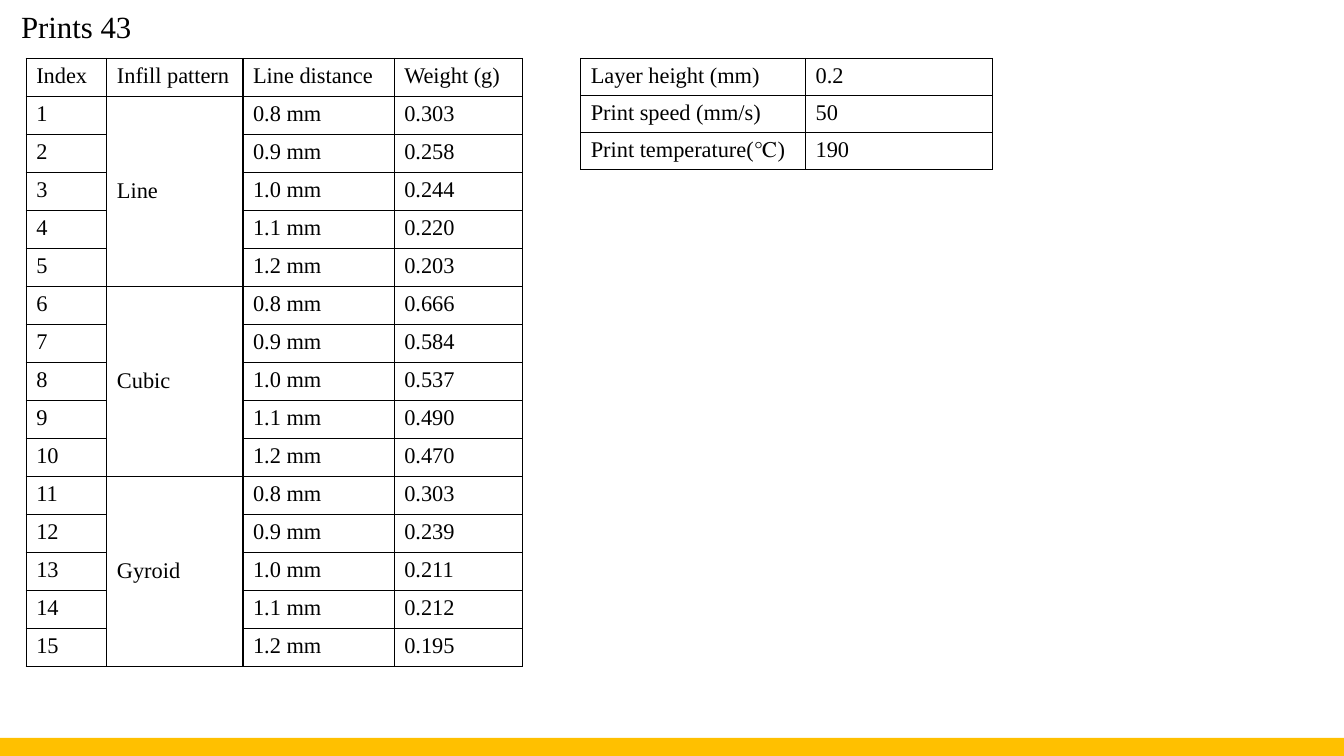
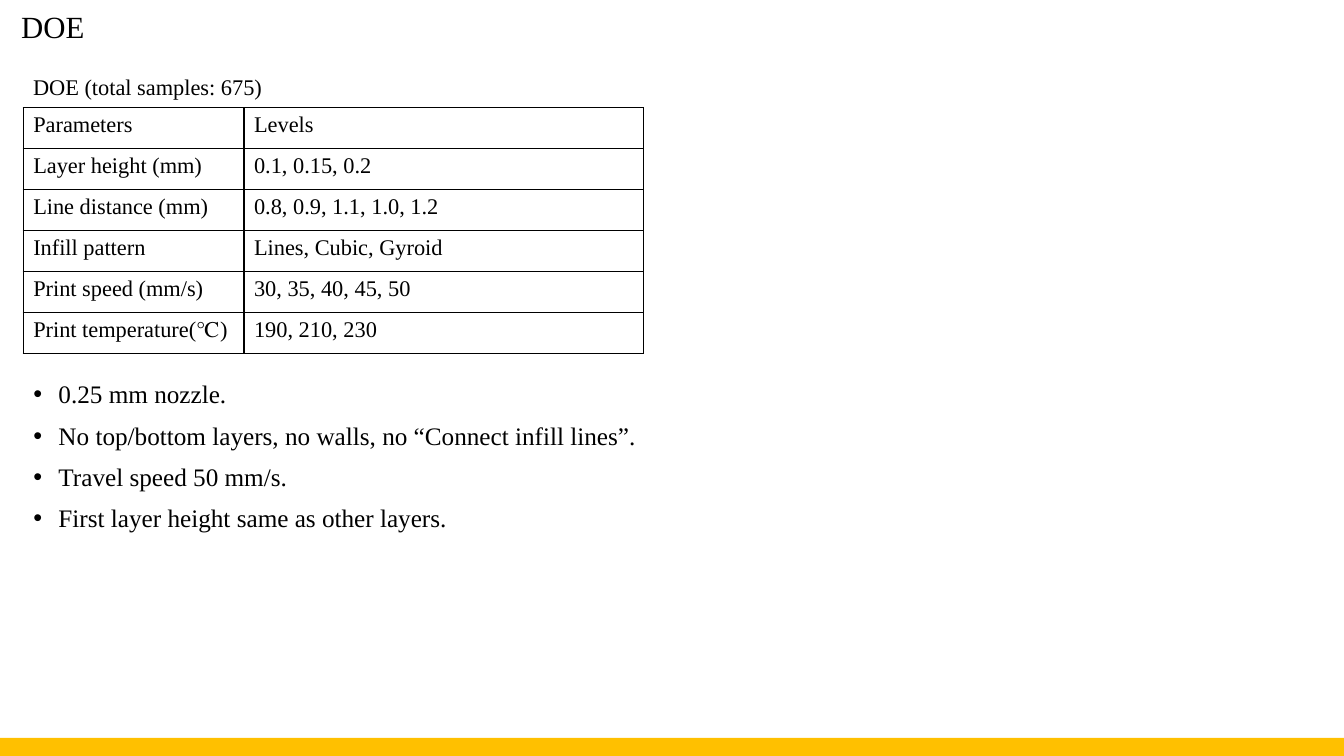
from lxml import etree
from pptx import Presentation
from pptx.dml.color import RGBColor
from pptx.enum.shapes import MSO_SHAPE
from pptx.enum.text import MSO_ANCHOR, MSO_AUTO_SIZE, PP_ALIGN
from pptx.oxml import parse_xml
from pptx.oxml.ns import nsdecls, qn
from pptx.util import Inches, Pt

RECT = MSO_SHAPE.RECTANGLE
MIDDLE, TOP = MSO_ANCHOR.MIDDLE, MSO_ANCHOR.TOP
LEFT = PP_ALIGN.LEFT
FIXED = MSO_AUTO_SIZE.NONE

FONT = "Times New Roman"
BLACK, GOLD = "000000", "FFC000"
WIDE, HIGH = 13.33, 7.5
BAND = 0.18
TITLE_BOX = (0.11, 0, 13.22, 0.57)

HEADS = ["Index", "Infill pattern", "Line distance", "Weight (g)"]
GAPS = ["0.8 mm", "0.9 mm", "1.0 mm", "1.1 mm", "1.2 mm"]
WEIGHTS = {
    "Line": ["0.303", "0.258", "0.244", "0.220", "0.203"],
    "Cubic": ["0.666", "0.584", "0.537", "0.490", "0.470"],
    "Gyroid": ["0.303", "0.239", "0.211", "0.212", "0.195"],
}
SETUP = [
    ["Layer height (mm)", "0.2"],
    ["Print speed (mm/s)", "50"],
    ["Print temperature(℃)", "190"],
]
LEVELS = [
    ["Parameters", "Levels"],
    ["Layer height (mm)", "0.1, 0.15, 0.2"],
    ["Line distance (mm)", "0.8, 0.9, 1.1, 1.0, 1.2"],
    ["Infill pattern", "Lines, Cubic, Gyroid"],
    ["Print speed (mm/s)", "30, 35, 40, 45, 50"],
    ["Print temperature(℃)", "190, 210, 230"],
]
NOTES = [
    "0.25 mm nozzle.",
    "No top/bottom layers, no walls, no “Connect infill lines”.",
    "Travel speed 50 mm/s.",
    "First layer height same as other layers.",
]


def color(code):
    return RGBColor.from_string(code)


def write(para, text, size):
    run = para.add_run()
    run.text = text
    run.font.name = FONT
    run.font.size = Pt(size)
    run.font.color.rgb = color(BLACK)


def place(shape, box):
    shape.left, shape.top, shape.width, shape.height = map(Inches, box)


# Shared parts
def add_band(deck, slide):
    """Draw the bottom band and move it to the master."""
    band = slide.shapes.add_shape(
        RECT, 0, Inches(HIGH - BAND), Inches(WIDE), Inches(BAND))
    band.shadow.inherit = False
    band.fill.solid()
    band.fill.fore_color.rgb = color(GOLD)
    band.line.fill.background()
    deck.slide_master.shapes.element.append(band.element)


def add_title(slide, text):
    title = slide.shapes.title
    place(title, TITLE_BOX)
    frame = title.text_frame
    frame.auto_size = FIXED
    frame.vertical_anchor = MIDDLE
    para = frame.paragraphs[0]
    para.alignment = LEFT
    para.line_spacing = 0.9
    write(para, text, 22)


# Tables
def add_border(cell):
    props = cell._tc.get_or_add_tcPr()
    for side in ("lnL", "lnR", "lnT", "lnB"):
        props.append(parse_xml(
            f'<a:{side} {nsdecls("a")} w="12700"><a:solidFill>'
            f'<a:srgbClr val="{BLACK}"/></a:solidFill></a:{side}>'))


def add_grid(slide, left, top, cols, step, rows):
    frame = slide.shapes.add_table(
        len(rows), len(cols), Inches(left), Inches(top),
        Inches(sum(cols)), Inches(step * len(rows)))
    table = frame.table
    table.first_row = table.horz_banding = False
    for col, width in zip(table.columns, cols):
        col.width = Inches(width)
    for r, row in enumerate(rows):
        table.rows[r].height = Inches(step)
        for c, text in enumerate(row):
            cell = table.cell(r, c)
            add_border(cell)
            cell.fill.background()
            if text:
                write(cell.text_frame.paragraphs[0], text, 16)
    return table


def add_weights(slide, left, top):
    rows = [HEADS]
    for name, group in WEIGHTS.items():
        for i, pair in enumerate(zip(GAPS, group)):
            rows.append([str(len(rows)), "" if i else name, *pair])
    table = add_grid(slide, left, top, [0.8, 1.35, 1.5, 1.27], 0.377, rows)
    span = len(GAPS)
    for first in range(1, len(rows), span):
        cell = table.cell(first, 1)
        cell.merge(table.cell(first + span - 1, 1))
        cell.vertical_anchor = MIDDLE


# Text regions
def add_label(slide, box, text):
    label = slide.shapes.add_textbox(*map(Inches, box))
    label.text_frame.word_wrap = True
    write(label.text_frame.paragraphs[0], text, 16)


def add_list(slide, box, lines):
    body = slide.placeholders[1]
    place(body, box)
    frame = body.text_frame
    frame.auto_size = FIXED
    frame.vertical_anchor = TOP
    for i, line in enumerate(lines):
        para = frame.add_paragraph() if i else frame.paragraphs[0]
        para.line_spacing = 0.9
        para.space_before = Pt(10)
        props = para._p.get_or_add_pPr()
        props.set("marL", str(Inches(0.25)))
        props.set("indent", str(-Inches(0.25)))
        etree.SubElement(props, qn("a:buFont")).set("typeface", "Arial")
        etree.SubElement(props, qn("a:buChar")).set("char", "•")
        write(para, line, 18)


# Slides
def add_prints(deck):
    slide = deck.slides.add_slide(deck.slide_layouts[5])
    add_band(deck, slide)
    add_title(slide, "Prints 43")
    add_grid(slide, 5.76, 0.58, [2.23, 1.85], 0.367, SETUP)
    add_weights(slide, 0.26, 0.58)


def add_doe(deck):
    slide = deck.slides.add_slide(deck.slide_layouts[1])
    add_title(slide, "DOE")
    add_grid(slide, 0.23, 1.07, [2.19, 3.96], 0.406, LEVELS)
    add_label(slide, (0.23, 0.68, 4.48, 0.37), "DOE (total samples: 675)")
    add_list(slide, (0.23, 3.74, 7.12, 1.61), NOTES)


def main():
    deck = Presentation()
    deck.slide_width, deck.slide_height = Inches(WIDE), Inches(HIGH)
    add_prints(deck)
    add_doe(deck)
    deck.save("out.pptx")


if __name__ == "__main__":
    main()
